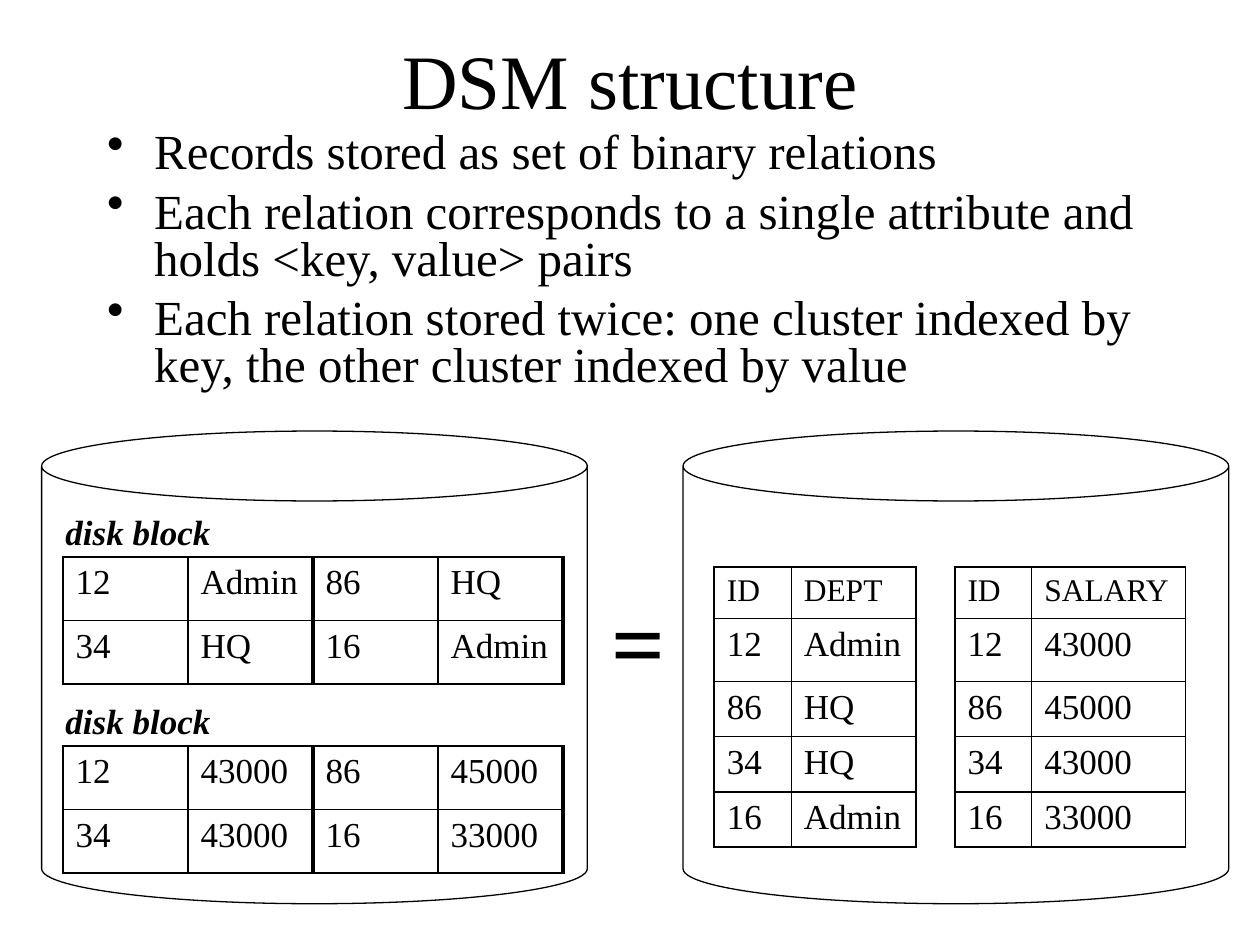
from dataclasses import dataclass

from lxml.etree import SubElement as Sub
from pptx import Presentation
from pptx.dml.color import RGBColor
from pptx.enum.shapes import MSO_SHAPE as Shape
from pptx.enum.text import MSO_ANCHOR as Anchor, MSO_AUTO_SIZE as Auto, PP_ALIGN as Align
from pptx.oxml.ns import qn
from pptx.util import Cm, Pt

FACE = "Times New Roman"
INK = "000000"
EDGE = 1.08  # common cell border, points


@dataclass
class Grid:
    left: float
    top: float
    cols: list[float]
    rows: list[float]
    rules: list[float]  # widths of the vertical lines, left to right
    cells: list[list[str]]
    head: bool = False


@dataclass
class Label:
    text: str
    box: tuple[float, float, float, float]
    size: float
    bold: bool = False
    slant: bool = False
    wrap: bool = True
    fit: bool = True


def paint(target, code: str) -> None:
    target.rgb = RGBColor.from_string(code)


def style(para, size: float, bold: bool = False, slant: bool = False) -> None:
    for run in para.runs:
        font = run.font
        font.name, font.size = FACE, Pt(size)
        font.bold, font.italic = bold, slant
        paint(font.color, INK)


def add_label(slide, item: Label):
    frame = slide.shapes.add_textbox(*map(Cm, item.box)).text_frame
    frame.text = item.text
    frame.word_wrap = item.wrap
    frame.auto_size = Auto.SHAPE_TO_FIT_TEXT if item.fit else Auto.NONE
    for para in frame.paragraphs:
        style(para, item.size, item.bold, item.slant)
    return frame


def add_bullet(para) -> None:
    props = para._p.get_or_add_pPr()
    props.set("marL", str(Cm(0.95)))
    props.set("indent", str(-Cm(0.95)))
    tint = Sub(props, qn("a:buClr"))
    Sub(tint, qn("a:srgbClr"), val=INK)
    Sub(props, qn("a:buChar"), char="•")


def add_edge(cell, side: str, width: float) -> None:
    line = Sub(cell._tc.get_or_add_tcPr(), qn(f"a:{side}"), w=str(Pt(width)))
    fill = Sub(line, qn("a:solidFill"))
    Sub(fill, qn("a:srgbClr"), val=INK)


def add_grid(slide, grid: Grid) -> None:
    size = sum(grid.cols), sum(grid.rows)
    frame = slide.shapes.add_table(len(grid.rows), len(grid.cols),
                                   *map(Cm, (grid.left, grid.top, *size)))
    table = frame.table
    table.first_row = table.horz_banding = False
    for col, width in zip(table.columns, grid.cols):
        col.width = Cm(width)
    for r, (row, height) in enumerate(zip(table.rows, grid.rows)):
        row.height = Cm(height)
        for c, cell in enumerate(row.cells):
            cell.text = grid.cells[r][c]
            style(cell.text_frame.paragraphs[0], 18 if grid.head and r == 0 else 20)
            add_edge(cell, "lnL", grid.rules[c])
            add_edge(cell, "lnR", grid.rules[c + 1])
            add_edge(cell, "lnT", EDGE)
            add_edge(cell, "lnB", EDGE)
            cell.fill.background()


def add_disk(slide, left: float) -> None:
    disk = slide.shapes.add_shape(Shape.CAN, *map(Cm, (left, 8.69, 11, 9.53)))
    disk.adjustments[0] = 0.148
    disk.shadow.inherit = False
    disk.fill.background()
    disk.line.width = Pt(0.75)
    paint(disk.line.color, INK)


def main() -> None:
    deck = Presentation()
    deck.slide_width, deck.slide_height = Cm(25.4), Cm(19.05)
    slide = deck.slides.add_slide(deck.slide_layouts[6])

    # Title and bullets
    title = add_label(slide, Label("DSM structure", (1.91, 0.64, 21.59, 1.91), 44, fit=False))
    title.vertical_anchor = Anchor.MIDDLE
    title.paragraphs[0].alignment = Align.CENTER
    points = [
        "Records stored as set of binary relations",
        "Each relation corresponds to a single attribute and holds <key, value> pairs",
        "Each relation stored twice: one cluster indexed by key, the other cluster indexed by value",
    ]
    body = add_label(slide, Label("\n".join(points), (1.91, 2.54, 21.59, 5.92), 28, fit=False))
    for n, para in enumerate(body.paragraphs):
        add_bullet(para)
        para.line_spacing = 0.8
        para.space_before = Pt(7 if n else 0)

    # Records: ID, department, salary
    keys = ["12", "86", "34", "16"]
    fields = {"DEPT": ["Admin", "HQ", "HQ", "Admin"],
              "SALARY": ["43000", "45000", "43000", "33000"]}

    # Left disk: two records to a row in each block
    for n, vals in enumerate(fields.values()):
        top = 10.16 + n * 3.81
        pairs = [[keys[i], vals[i], keys[i + 1], vals[i + 1]] for i in (0, 2)]
        add_grid(slide, Grid(1.27, top + 1.07, [2.52] * 4, [1.28] * 2,
                             [EDGE, EDGE, 2.21, EDGE, 2.21], pairs))
        add_label(slide, Label("disk block", (1.07, top, 3.43, 1.12), 20, True, True, wrap=False))
    add_disk(slide, 0.84)

    # Right disk: one binary relation per attribute
    for (name, vals), left, width in zip(fields.items(), (14.4, 19.25), (2.52, 3.1)):
        rows = [["ID", name], *map(list, zip(keys, vals))]
        add_grid(slide, Grid(left, 11.43, [1.55, width], [1.04, 1.27] + [1.11] * 3,
                             [EDGE, 0.45, EDGE], rows, head=True))
    add_disk(slide, 13.77)

    # Equals sign between the disks
    add_label(slide, Label("=", (12.07, 11.63, 1.47, 2.54), 54, bold=True))

    deck.save("out.pptx")


if __name__ == "__main__":
    main()
